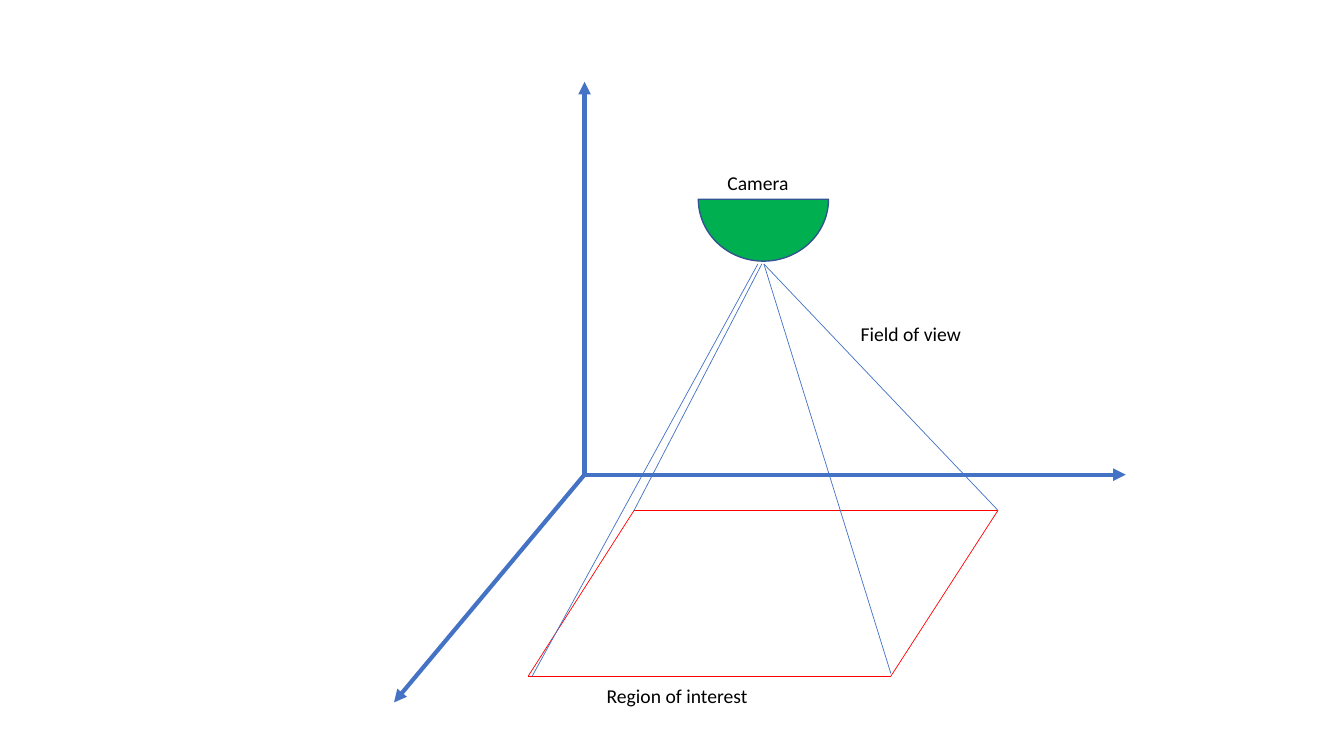
from pptx import Presentation
from pptx.dml.color import RGBColor
from pptx.enum.shapes import MSO_CONNECTOR, MSO_SHAPE
from pptx.enum.text import MSO_AUTO_SIZE
from pptx.oxml.ns import qn
from pptx.util import Cm, Pt
from lxml.etree import SubElement

BLUE = RGBColor(0x44, 0x72, 0xC4)
DARK_BLUE = RGBColor(0x32, 0x54, 0x91)
RED = RGBColor(0xFF, 0x00, 0x00)
GREEN = RGBColor(0x00, 0xB0, 0x50)
BLACK = RGBColor(0x00, 0x00, 0x00)

prs = Presentation()
prs.slide_width, prs.slide_height = Cm(33.87), Cm(19.05)
s = prs.slides.add_slide(prs.slide_layouts[6])


def add_line(start, end, color, width=0.5, arrow=False):
    c = s.shapes.add_connector(MSO_CONNECTOR.STRAIGHT, *map(Cm, start + end))
    c.line.color.rgb = color
    c.line.width = Pt(width)
    if arrow:
        SubElement(c.line._get_or_add_ln(), qn("a:tailEnd"), type="triangle")
    SubElement(c._element.spPr, qn("a:effectLst"))


def add_label(text, left, top, width, height=0.86, size=14, font="Calibri", color=BLACK):
    tf = s.shapes.add_textbox(Cm(left), Cm(top), Cm(width), Cm(height)).text_frame
    tf.word_wrap = False
    tf.auto_size = MSO_AUTO_SIZE.SHAPE_TO_FIT_TEXT
    r = tf.paragraphs[0].add_run()
    r.text = text
    r.font.size = Pt(size)
    r.font.name = font
    r.font.color.rgb = color


# Coordinate axes
origin = (14.73, 11.96)
for tip in [(14.73, 2.06), (28.37, 11.96), (9.93, 17.7)]:
    add_line(origin, tip, BLUE, width=3, arrow=True)

# Region of interest
front_left, front_right = (13.31, 17.04), (22.45, 17.04)
back_left, back_right = (15.98, 12.86), (25.15, 12.86)
corners = [front_left, back_left, back_right, front_right]
for i, corner in enumerate(corners):
    add_line(corner, corners[(i + 1) % 4], RED)
add_label("Region of interest", 15.04, 17.12, 4.11)

# Camera: half disc with its flat side up
camera = s.shapes.add_shape(MSO_SHAPE.PIE, Cm(17.68), Cm(3.38), Cm(3.12), Cm(3.28))
camera.adjustments[0] = 54
camera.adjustments[1] = 162
camera.rotation = 270
camera.shadow.inherit = False
camera.fill.solid()
camera.fill.fore_color.rgb = GREEN
camera.line.color.rgb = DARK_BLUE
camera.line.width = Pt(1)
add_label("Camera", 18.08, 4.17, 2.08)

# Field of view: rays from the region up to the lens
lens_y = 6.65
rays = [(back_left, 19.2), ((13.41, 17.04), 19.1), (back_right, 19.25), ((22.45, 16.97), 19.25)]
for ground, lens_x in rays:
    add_line(ground, (lens_x, lens_y), BLUE)
add_label("Field of view", 21.44, 7.98, 3.07)

prs.save("out.pptx")
